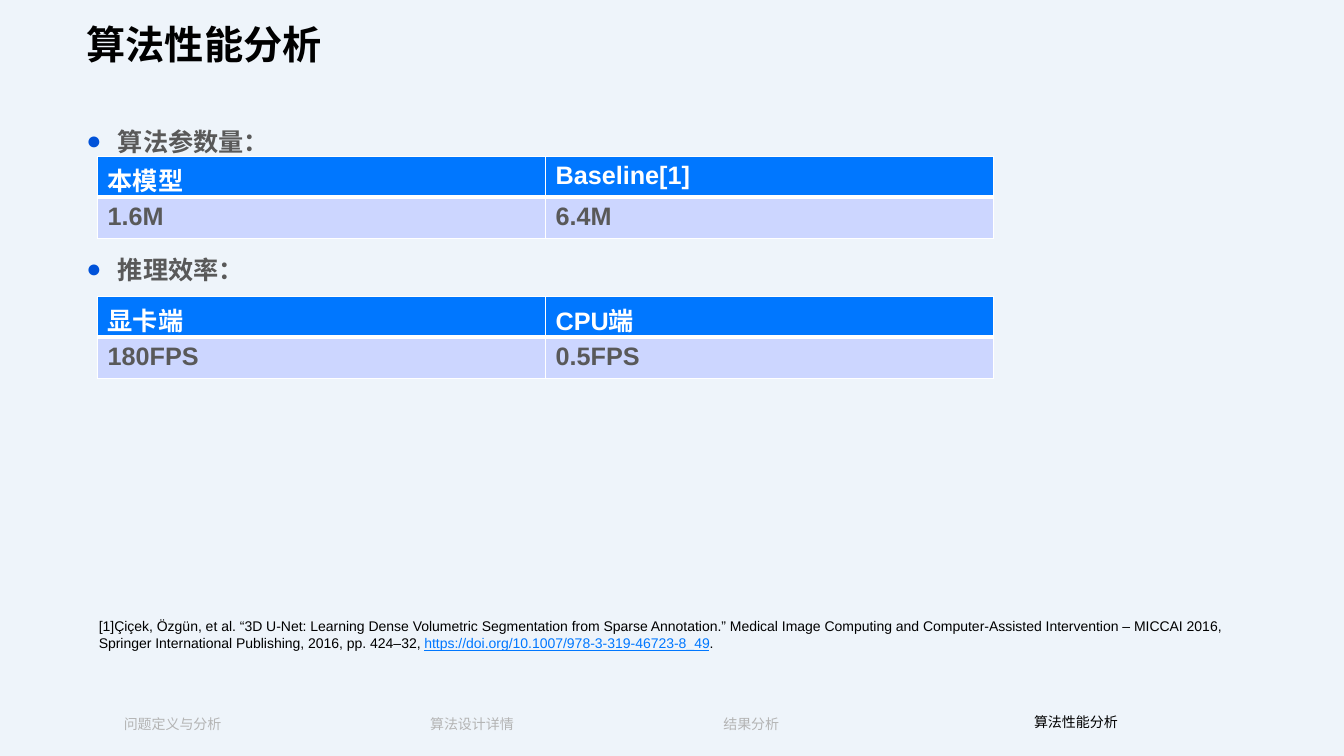
from lxml.etree import SubElement
from pptx import Presentation
from pptx.dml.color import RGBColor
from pptx.enum.text import MSO_ANCHOR, PP_ALIGN
from pptx.oxml.ns import qn
from pptx.util import Cm, Pt

BLACK, WHITE, GREY, PALE = "000000", "FFFFFF", "595959", "B4B4B4"
BLUE, LILAC, DOT, BACK = "0077FF", "CCD6FF", "0052D9", "EEF4FA"


def paint(color, code):
    color.rgb = RGBColor.from_string(code)


def add_run(para, text, size, code, bold=False, under=False):
    run = para.add_run()
    run.text = text
    font = run.font
    font.name, font.size = "Arial", Pt(size)
    font.bold, font.underline = bold, under
    paint(font.color, code)


def add_box(slide, left, top, width, height):
    box = slide.shapes.add_textbox(Cm(left), Cm(top), Cm(width), Cm(height))
    box.text_frame.word_wrap = True
    return box.text_frame


def add_title(slide, text):
    title = slide.shapes.title
    title.left, title.top = Cm(1.93), Cm(0.28)
    title.width, title.height = Cm(25.58), Cm(1.8)
    frame = title.text_frame
    frame.vertical_anchor = MSO_ANCHOR.MIDDLE
    para = frame.paragraphs[0]
    para.alignment = PP_ALIGN.LEFT
    para.line_spacing = 0.9
    add_run(para, text, 28, BLACK, bold=True)


def add_bullet(para):
    props = para._p.get_or_add_pPr()
    props.set("marL", str(Cm(0.79)))
    props.set("indent", str(-Cm(0.79)))
    color = SubElement(props, qn("a:buClr"))
    SubElement(color, qn("a:srgbClr"), val=DOT)
    SubElement(props, qn("a:buFont"), typeface="Arial")
    SubElement(props, qn("a:buChar"), char="●")


def add_heads(slide, heads):
    frame = add_box(slide, 1.93, 2.67, 19.69, 10.34)
    for i, head in enumerate(heads):
        para = frame.add_paragraph() if i else frame.paragraphs[0]
        add_bullet(para)
        para.line_spacing = 1.5
        if i:
            para.space_before = Pt(59)
        add_run(para, head, 18, GREY, bold=True)


def add_edges(cell, base):
    props = cell._tc.get_or_add_tcPr()
    for side, width in (("L", 1), ("R", 1), ("T", 1), ("B", base)):
        line = SubElement(props, qn(f"a:ln{side}"), w=str(Pt(width)))
        fill = SubElement(line, qn("a:solidFill"))
        SubElement(fill, qn("a:srgbClr"), val=WHITE)


def add_grid(slide, top, rows):
    shape = slide.shapes.add_table(
        len(rows), len(rows[0]), Cm(2.46), Cm(top), Cm(22.58), Cm(2.06))
    # Row styles: fill, text colour, bottom edge
    styles = ((BLUE, WHITE, 3), (LILAC, GREY, 1))
    for r, (row, (back, ink, base)) in enumerate(zip(rows, styles)):
        for c, text in enumerate(row):
            cell = shape.table.cell(r, c)
            add_edges(cell, base)
            cell.fill.solid()
            paint(cell.fill.fore_color, back)
            add_run(cell.text_frame.paragraphs[0], text, 18, ink, bold=True)


def add_source(slide):
    para = add_box(slide, 2.24, 15.44, 29.41, 1.55).paragraphs[0]
    add_run(para, "[1]Çiçek, Özgün, et al. “3D U-Net: Learning Dense Volumetric "
            "Segmentation from Sparse Annotation.” Medical Image Computing and "
            "Computer-Assisted Intervention – MICCAI 2016, Springer "
            "International Publishing, 2016, pp. 424–32, ", 10, BLACK)
    add_run(para, "https://doi.org/10.1007/978-3-319-46723-8_49", 10, BLUE,
            under=True)
    add_run(para, ".", 10, BLACK)


def add_steps(slide):
    steps = (
        ("问题定义与分析", 2.87, 17.91, PALE),
        ("算法设计详情", 10.59, 17.91, PALE),
        ("结果分析", 17.98, 17.91, PALE),
        ("算法性能分析", 25.81, 17.86, BLACK),
    )
    for text, left, top, ink in steps:
        frame = add_box(slide, left, top, 5.18, 0.69)
        add_run(frame.paragraphs[0], text, 10, ink)


def main():
    deck = Presentation()
    deck.slide_width, deck.slide_height = Cm(33.87), Cm(19.05)
    slide = deck.slides.add_slide(deck.slide_layouts[5])
    slide.background.fill.solid()
    paint(slide.background.fill.fore_color, BACK)

    # Title and headings
    add_title(slide, "算法性能分析")
    add_heads(slide, ("算法参数量：", "推理效率："))

    # Tables
    add_grid(slide, 7.47, (("显卡端", "CPU端"), ("180FPS", "0.5FPS")))
    add_grid(slide, 3.94, (("本模型", "Baseline[1]"), ("1.6M", "6.4M")))

    # Reference and footer
    add_source(slide)
    add_steps(slide)
    deck.save("out.pptx")


if __name__ == "__main__":
    main()
